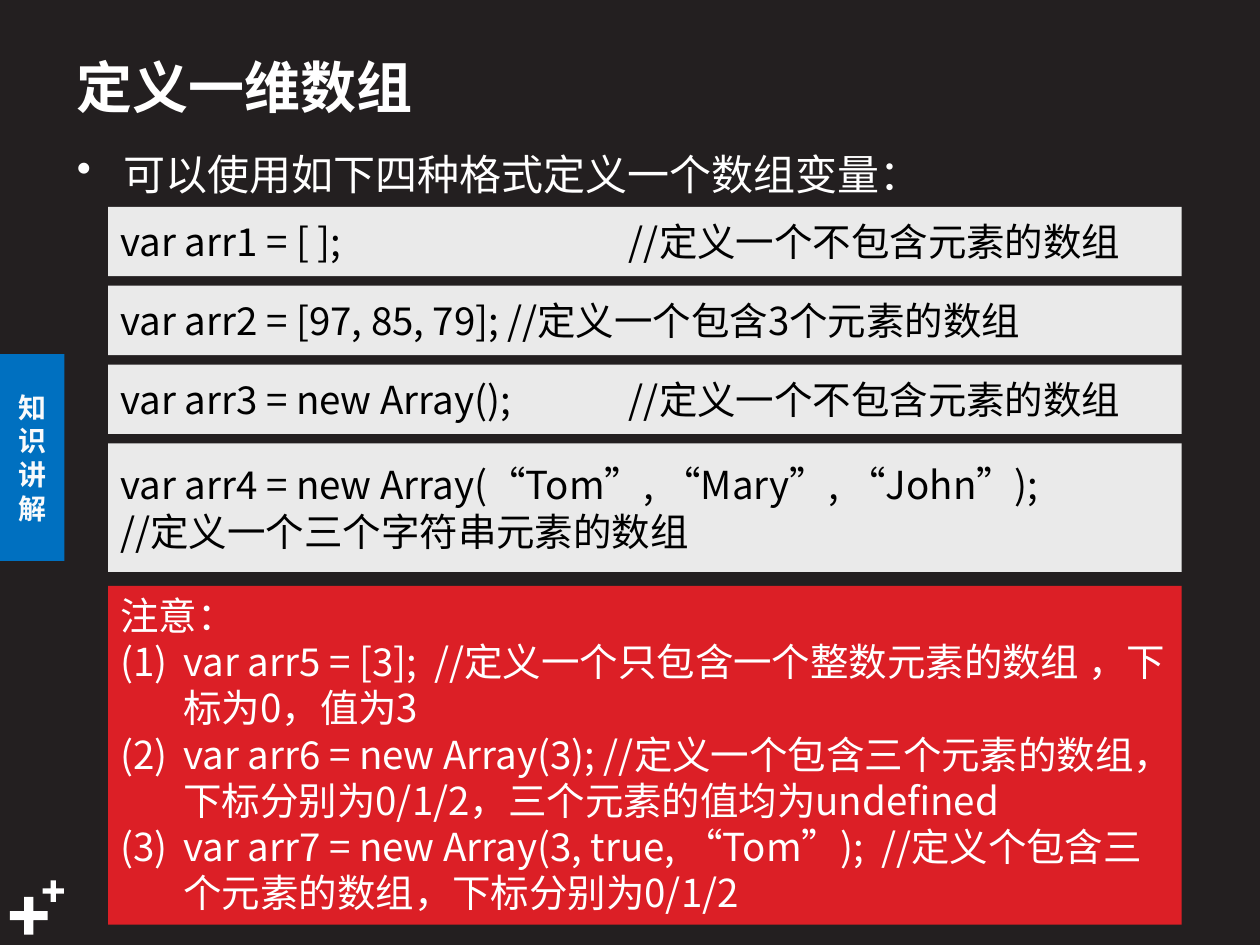
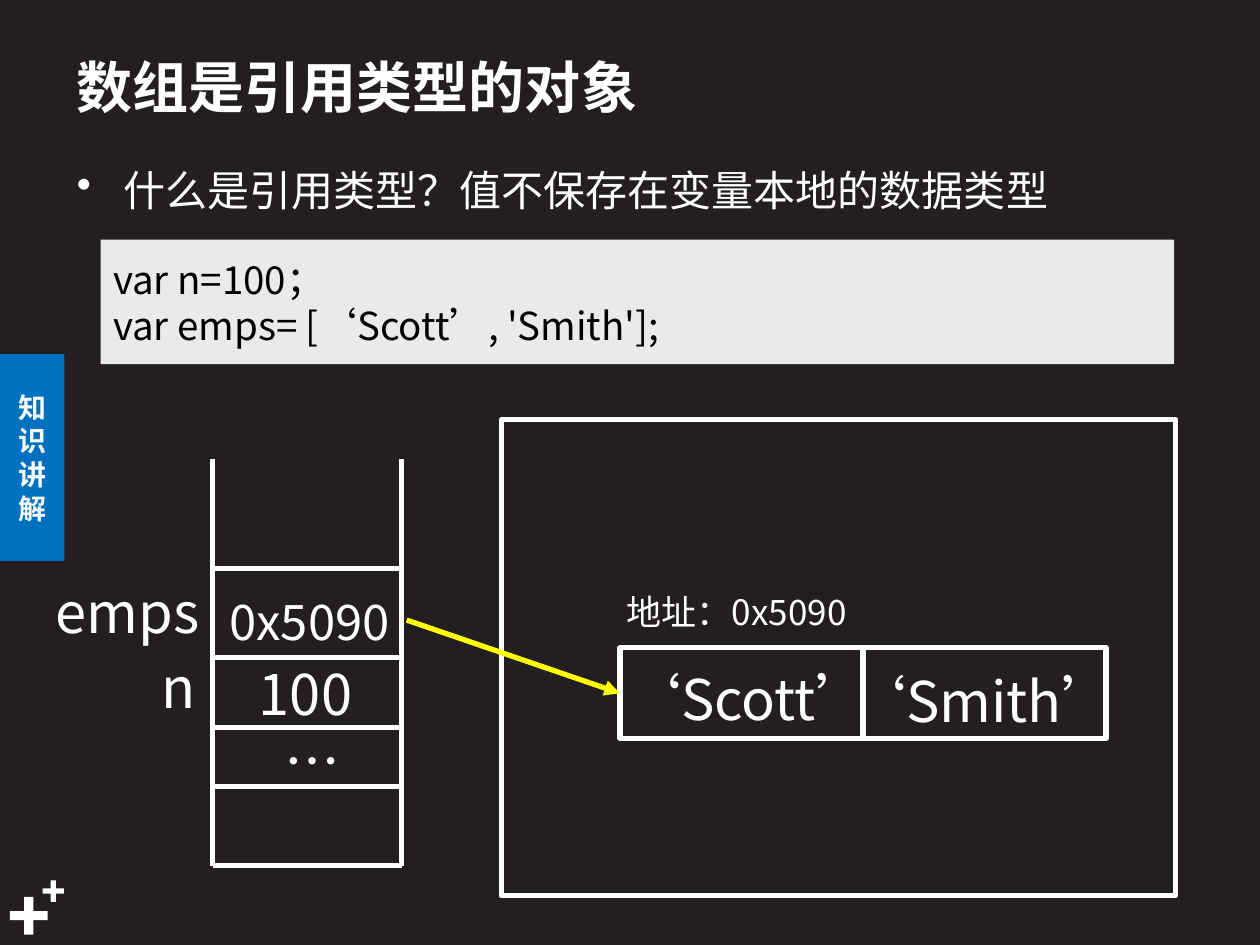
import pptx
import pptx.util
import pptx.dml.color
import pptx.enum.shapes
import pptx.enum.text
import pptx.oxml.ns
from dataclasses import dataclass
from lxml import etree

Cm, Pt = pptx.util.Cm, pptx.util.Pt
SHAPE = pptx.enum.shapes.MSO_SHAPE
ALIGN = pptx.enum.text.PP_ALIGN
ANCHOR = pptx.enum.text.MSO_ANCHOR
qn = pptx.oxml.ns.qn


@dataclass(frozen=True)
class Theme:
    font: str = "Noto Sans CJK SC"
    back: str = "231F20"
    white: str = "FFFFFF"
    black: str = "000000"
    tab: str = "0070C0"
    tab_text: str = "F9FAFB"
    code: str = "EAEAEA"
    warning: str = "DC1F26"
    pointer: str = "FFFF00"
    title_size: int = 32
    body_size: int = 24
    code_size: int = 22
    tab_size: int = 16
    line: int = 3
    leading: float = 1.2
    body_leading: float = 1.43


T = Theme()

# Content: lengths in cm
SIDE_TAB = "知识讲解"
PLUSES = [(0.2, 18.08, 0.76), (0.86, 17.75, 0.43)]

DEFINE = {
    "title": "定义一维数组",
    "body": "可以使用如下四种格式定义一个数组变量：",
    "body_top": 2.67,
    # height, tab stop of the comment, lines
    "codes": [
        (1.4, 10.25, ["var arr1 = [ ];\t//定义一个不包含元素的数组"]),
        (1.4, 7.8, ["var arr2 = [97, 85, 79];\t//定义一个包含3个元素的数组"]),
        (1.4, 10.25, ["var arr3 = new Array();\t//定义一个不包含元素的数组"]),
        (2.59, None, ["var arr4 = new Array(“Tom”, “Mary”, “John”);",
                      "//定义一个三个字符串元素的数组"]),
    ],
    "note": "注意：",
    "note_items": [
        "var arr5 = [3];  //定义一个只包含一个整数元素的数组 ，下标为0，值为3",
        "var arr6 = new Array(3); //定义一个包含三个元素的数组，"
        "下标分别为0/1/2，三个元素的值均为undefined",
        "var arr7 = new Array(3, true, “Tom”);  //定义个包含三个元素的数组，下标分别为0/1/2",
    ],
}

REFERENCE = {
    "title": "数组是引用类型的对象",
    "body": "什么是引用类型？值不保存在变量本地的数据类型",
    "body_top": 3.0,
    "code": ["var n=100；", "var emps= [‘Scott’, 'Smith'];"],
    # text, centre x, centre y, width, size
    "labels": [
        ("n", 3.6, 13.84, 1.22, 32),
        ("100", 6.16, 13.97, 2.51, 32),
        ("emps", 2.58, 12.32, 3.48, 32),
        ("‘Scott’", 15.09, 14.07, 5.59, 32),
        ("‘Smith’", 19.84, 14.12, 5.94, 32),
        ("地址：0x5090", 14.85, 12.32, 5.11, 20),
        ("0x5090", 6.24, 12.51, 3.94, 28),
        ("…", 6.21, 15.32, 1.45, 32),
    ],
}


def rgb(value):
    return pptx.dml.color.RGBColor.from_string(value)


# Text helpers
def add_run(p, text, size, color, bold=False, leading=T.leading):
    p.line_spacing = Pt(round(size * leading, 1))
    r = p.add_run()
    r.text = text
    r.font.name, r.font.size, r.font.bold = T.font, Pt(size), bold
    r.font.color.rgb = rgb(color)
    ea = etree.SubElement(r.font._element, qn("a:ea"))
    ea.set("typeface", T.font)


def write(tf, lines, size, color, bold=False, align=ALIGN.LEFT, anchor=ANCHOR.MIDDLE,
          wrap=True, leading=T.leading):
    tf.word_wrap, tf.vertical_anchor = wrap, anchor
    for i, line in enumerate(lines):
        p = tf.add_paragraph() if i else tf.paragraphs[0]
        p.alignment = align
        add_run(p, line, size, color, bold, leading)


def set_bullet(p, indent, tag, **attrs):
    pPr = p._p.get_or_add_pPr()
    pPr.set("marL", str(Cm(indent)))
    pPr.set("indent", str(-Cm(indent)))
    etree.SubElement(pPr, qn(tag), attrs)


def set_tab(p, pos):
    tabs = etree.SubElement(p._p.get_or_add_pPr(), qn("a:tabLst"))
    etree.SubElement(tabs, qn("a:tab"), pos=str(Cm(pos)), algn="l")


# Shape helpers
def add_shape(s, kind, x, y, w, h, fill=None, line=None):
    sp = s.shapes.add_shape(kind, Cm(x), Cm(y), Cm(w), Cm(h))
    sp.shadow.inherit = False
    if fill:
        sp.fill.solid()
        sp.fill.fore_color.rgb = rgb(fill)
    else:
        sp.fill.background()
    if line:
        sp.line.color.rgb = rgb(line)
        sp.line.width = Pt(T.line)
    else:
        sp.line.fill.background()
    return sp


def add_text(s, x, y, w, h, lines, size, color, **style):
    tf = s.shapes.add_textbox(Cm(x), Cm(y), Cm(w), Cm(h)).text_frame
    write(tf, lines, size, color, **style)
    return tf


def add_line(s, x1, y1, x2, y2, color=T.white, arrow=False):
    cn = s.shapes.add_connector(pptx.enum.shapes.MSO_CONNECTOR.STRAIGHT,
                                Cm(x1), Cm(y1), Cm(x2), Cm(y2))
    cn.line.color.rgb = rgb(color)
    cn.line.width = Pt(T.line)
    if arrow:
        etree.SubElement(cn.line._get_or_add_ln(), qn("a:tailEnd"), type="triangle")
    etree.SubElement(cn._element.spPr, qn("a:effectLst"))


def add_code(s, x, y, h, lines, tab=None):
    sp = add_shape(s, SHAPE.RECTANGLE, x, y, 21.64, h, T.code)
    write(sp.text_frame, lines, T.code_size, T.black)
    if tab:
        set_tab(sp.text_frame.paragraphs[0], tab)


# Shared frame: background, pluses, side tab, title, bullet
def add_slide(prs, content):
    s = prs.slides.add_slide(prs.slide_layouts[6])
    s.background.fill.solid()
    s.background.fill.fore_color.rgb = rgb(T.back)
    for x, y, size in PLUSES:
        sp = add_shape(s, SHAPE.CROSS, x, y, size, size, T.white)
        sp.adjustments[0] = 0.378
    sp = add_shape(s, SHAPE.RECTANGLE, 0, 7.14, 1.3, 4.17, T.tab)
    write(sp.text_frame, [SIDE_TAB], T.tab_size, T.tab_text, bold=True, align=ALIGN.CENTER)
    add_text(s, 1.3, 0.74, 18.8, 1.98, [content["title"]], T.title_size, T.white, bold=True)
    tf = add_text(s, 1.3, content["body_top"], 22.4, 1.47, [content["body"]], T.body_size,
                  T.white, anchor=ANCHOR.TOP, leading=T.body_leading)
    set_bullet(tf.paragraphs[0], 0.95, "a:buChar", char="•")
    return s


def build_define(prs):
    s = add_slide(prs, DEFINE)
    # Code bars stacked with an equal gap
    x, y, gap = 2.18, 4.17, 0.19
    for h, tab, lines in DEFINE["codes"]:
        add_code(s, x, y, h, lines, tab)
        y += h + gap
    # Numbered warning
    sp = add_shape(s, SHAPE.RECTANGLE, x, 11.81, 21.64, 6.83, T.warning)
    tf = sp.text_frame
    write(tf, [DEFINE["note"]] + DEFINE["note_items"], T.code_size, T.white,
          anchor=ANCHOR.TOP)
    for p in tf.paragraphs[1:]:
        set_bullet(p, 1.27, "a:buAutoNum", type="arabicParenBoth")


def build_reference(prs):
    s = add_slide(prs, REFERENCE)
    add_code(s, 2.03, 4.83, 2.51, REFERENCE["code"])
    # Stack, open at the top
    left, right, top, bottom = 4.29, 8.1, 9.25, 17.45
    for x in (left, right):
        add_line(s, x, top, x, bottom)
    for y in (11.46, 13.26, 14.66, 15.85, bottom):
        add_line(s, left, y, right, y)
    # Heap with the two-cell array
    add_shape(s, SHAPE.RECTANGLE, 10.11, 8.46, 13.59, 9.6, line=T.white)
    x, y, w, h = 12.5, 13.06, 9.8, 1.83
    add_shape(s, SHAPE.RECTANGLE, x, y, w, h, line=T.white)
    add_line(s, x + w / 2, y, x + w / 2, y + h)
    # Labels and pointer
    for text, cx, cy, width, size in REFERENCE["labels"]:
        height = 0.25 + size * 0.043
        add_text(s, cx - width / 2, cy - height / 2, width, height, [text], size, T.white,
                 align=ALIGN.CENTER, wrap=False)
    add_line(s, 8.2, 12.5, x, y + h / 2, T.pointer, arrow=True)


def main():
    prs = pptx.Presentation()
    prs.slide_width, prs.slide_height = Cm(25.4), Cm(19.05)
    build_define(prs)
    build_reference(prs)
    prs.save("out.pptx")


if __name__ == "__main__":
    main()
